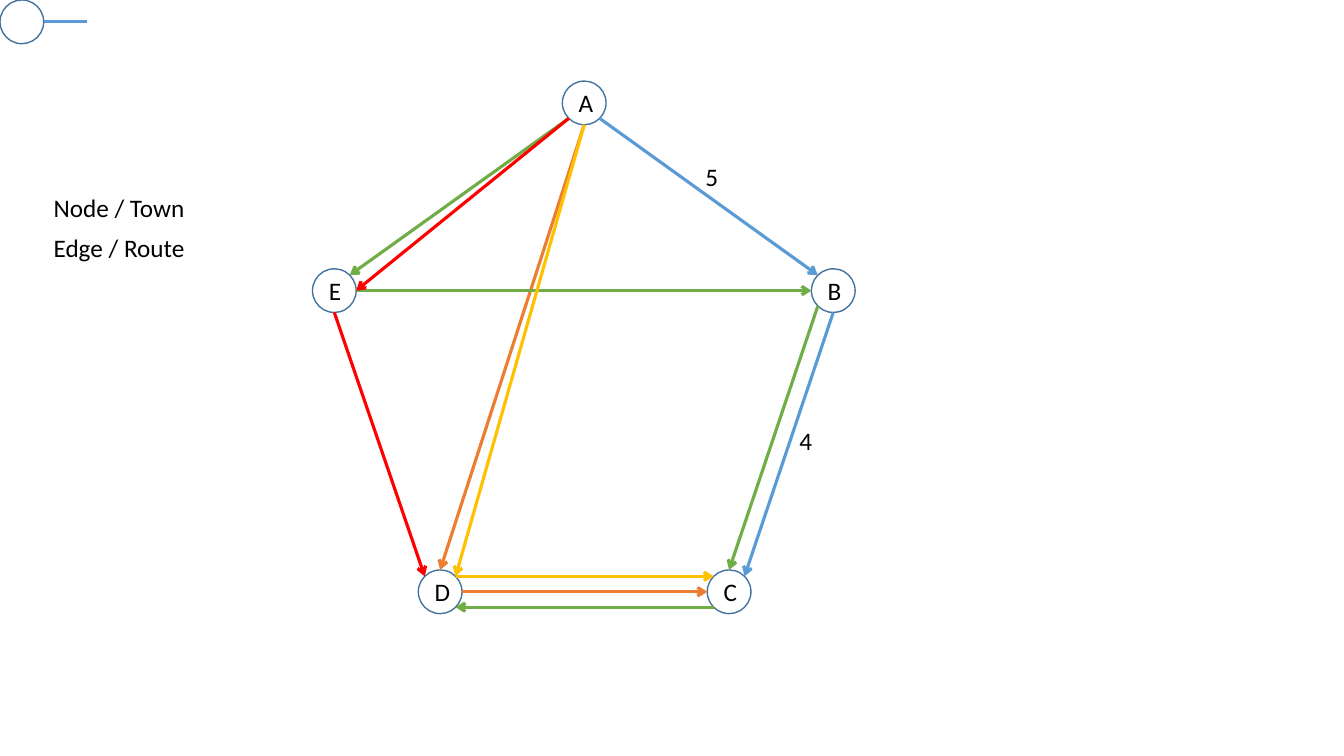
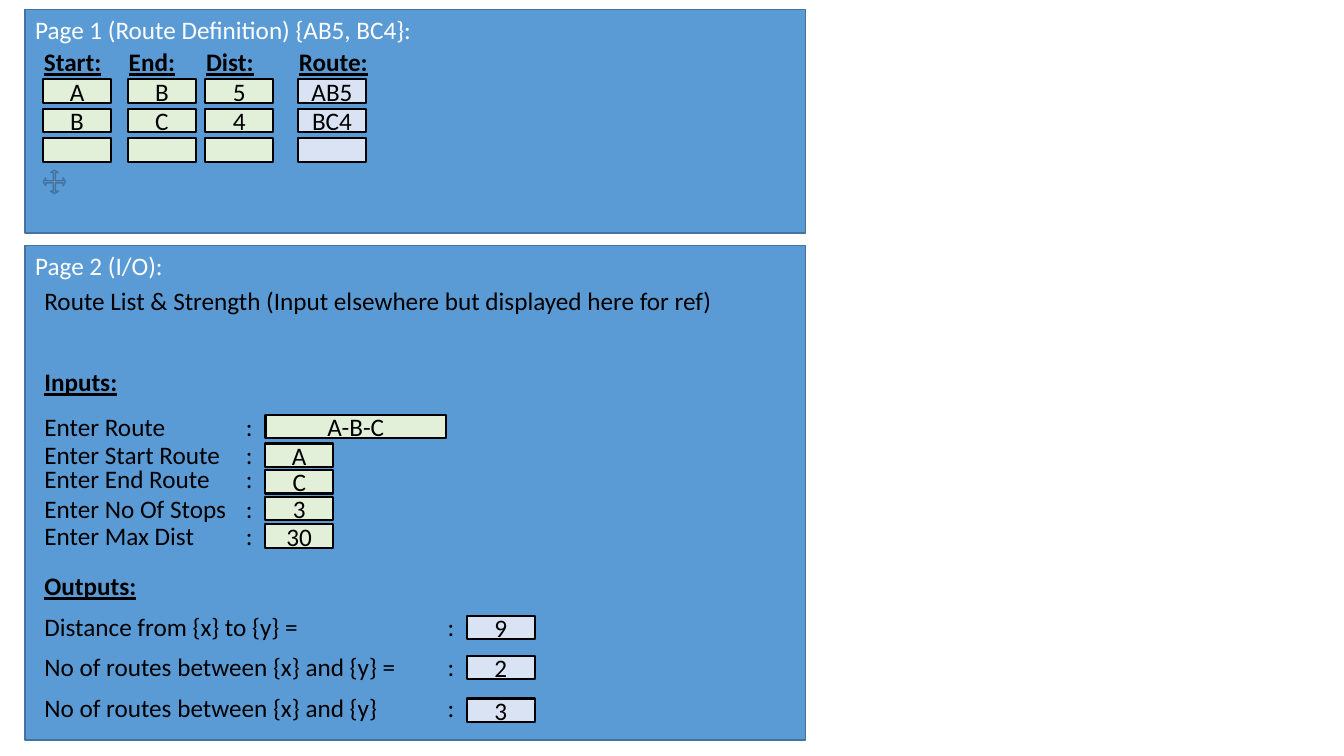
from dataclasses import dataclass
from math import sqrt

from pptx import Presentation
from pptx.dml.color import RGBColor as RGB
from pptx.enum.shapes import MSO_CONNECTOR as Link, MSO_SHAPE as Form
from pptx.enum.text import MSO_ANCHOR as Anchor, MSO_AUTO_SIZE as Fit, PP_ALIGN as Align
from pptx.oxml.ns import qn
from pptx.oxml.xmlchemy import OxmlElement as Tag
from pptx.shapes.autoshape import Shape
from pptx.slide import Slide
from pptx.text.text import TextFrame as Frame
from pptx.util import Emu, Inches, Pt

COLS, ROWS = 160, 90
WIDE, HIGH = Inches(13.33333), Inches(7.5)
CELL = HIGH / ROWS

BLACK = RGB(0x00, 0x00, 0x00)
WHITE = RGB(0xFF, 0xFF, 0xFF)
BLUE = RGB(0x5B, 0x9B, 0xD5)
NAVY = RGB(0x43, 0x73, 0x9E)
GREEN = RGB(0x70, 0xAD, 0x47)
ORANGE = RGB(0xED, 0x7D, 0x31)
GOLD = RGB(0xFF, 0xC0, 0x00)
RED = RGB(0xFF, 0x00, 0x00)
MINT = RGB(0xE2, 0xF0, 0xD9)
LILAC = RGB(0xDA, 0xE3, 0xF3)

FONT, SIZE = "Calibri", Pt(18)
THIN, MID, BOLD = 1, 1.5, 2.25
NODE = 5.2
TEXT_H = 4.8
LEFT = 4.1
BOX_W, BOX_H = 8.05, 2.8
DIAG = sqrt(0.5)
SITES = {
    "N": (0, -1), "NE": (DIAG, -DIAG), "E": (1, 0), "SE": (DIAG, DIAG),
    "S": (0, 1), "SW": (-DIAG, DIAG), "W": (-1, 0), "NW": (-DIAG, -DIAG),
}


@dataclass(frozen=True)
class Rect:
    """An area in grid cells."""
    x: float
    y: float
    w: float
    h: float

    def emu(self) -> tuple[Emu, ...]:
        """Give the area in slide units."""
        return tuple(grid(n) for n in (self.x, self.y, self.w, self.h))


@dataclass(frozen=True)
class Edge:
    """A route from a site of one town to a site of another."""
    start: str
    out: str
    end: str
    into: str
    color: RGB


@dataclass(frozen=True)
class Label:
    """A line of free text."""
    text: str
    x: float
    y: float
    w: float
    head: bool = False
    tab: float = 0


@dataclass(frozen=True)
class Field:
    """A caption with the box that holds its value."""
    text: str
    y: float
    value: str
    box_y: float
    box_w: float = BOX_W


@dataclass(frozen=True)
class Column:
    """A headed column of boxes."""
    head: str
    x: float
    w: float
    fill: RGB
    cells: tuple[str, ...]


TOWNS = {
    "A": (69.55, 12.25), "B": (99.2, 34.6), "C": (86.8, 70.45),
    "D": (52.4, 70.45), "E": (39.8, 34.6),
}
EDGES = [
    Edge("A", "SE", "B", "NW", BLUE),
    Edge("B", "S", "C", "NE", BLUE),
    Edge("A", "S", "D", "N", ORANGE),
    Edge("A", "SW", "E", "NE", GREEN),
    Edge("D", "E", "C", "W", ORANGE),
    Edge("E", "E", "B", "W", GREEN),
    Edge("C", "SW", "D", "SE", GREEN),
    Edge("E", "S", "D", "NW", RED),
    Edge("B", "SW", "C", "N", GREEN),
    Edge("D", "NE", "C", "NW", GOLD),
    Edge("A", "S", "D", "NE", GOLD),
    Edge("A", "SW", "E", "E", RED),
]
MAP_TEXT = [
    Label("5", 82.8, 18.6, 3.95),
    Label("4", 94, 50.05, 3.95),
    Label("Node / Town", 5.2, 22.3, 18.25),
    Label("Edge / Route", 5.2, 27.1, 18.25),
]
TABLE = [
    Column("Start:", 5.15, 9.35, MINT, ("A", "B", "")),
    Column("End:", 15.25, 7.9, MINT, ("B", "C", "")),
    Column("Dist:", 24.45, 8.15, MINT, ("5", "4", "")),
    Column("Route:", 35.5, 10.7, LILAC, ("AB5", "BC4", "")),
]
PAGE_TEXT = [
    Label("Route List & Strength (Input elsewhere but displayed here for ref)",
          LEFT, 33.35, 83.75),
    Label("Inputs:", LEFT, 43.05, 11.15, head=True),
    Label("Outputs:", LEFT, 67.35, 13.45, head=True),
]
INPUTS = [
    Field("Enter Route", 48.4, "A-B-C", 49.4, 21.5),
    Field("Enter Start Route", 51.7, "A", 52.8),
    Field("Enter End Route", 54.6, "C", 55.95),
    Field("Enter No Of Stops", 58.1, "3", 59.15),
    Field("Enter Max Dist", 61.35, "30", 62.4),
]
OUTPUTS = [
    Field("Distance from {x} to {y} =", 72.15, "9", 73.3),
    Field("No of routes between {x} and {y} =", 76.95, "2", 78.05),
    Field("No of routes between {x} and {y}", 81.85, "3", 83.15),
]


def grid(n: float) -> Emu:
    """Turn grid cells into slide units."""
    return Emu(round(n * CELL))


def write(frame: Frame, text: str, color: RGB = BLACK, head: bool = False) -> None:
    """Add one styled run to the first paragraph."""
    run = frame.paragraphs[0].add_run()
    run.text = text
    font = run.font
    font.name, font.size = FONT, SIZE
    font.color.rgb = color
    if head:
        font.bold = font.underline = True


def form(slide: Slide, kind: Form, area: Rect, fill: RGB | None,
         edge: RGB = NAVY, width: float = THIN) -> Shape:
    """Draw a flat preset shape."""
    shape = slide.shapes.add_shape(kind, *area.emu())
    shape.shadow.inherit = False
    if fill is None:
        shape.fill.background()
    else:
        shape.fill.solid()
        shape.fill.fore_color.rgb = fill
    shape.line.color.rgb = edge
    shape.line.width = Pt(width)
    return shape


def center(shape: Shape, text: str) -> None:
    """Put text in the middle of a shape."""
    frame = shape.text_frame
    frame.vertical_anchor = Anchor.MIDDLE
    frame.paragraphs[0].alignment = Align.CENTER
    write(frame, text)


def label(slide: Slide, item: Label) -> None:
    """Draw a line of text, with a tab stop if it has one."""
    area = Rect(item.x, item.y, item.w, TEXT_H)
    frame = slide.shapes.add_textbox(*area.emu()).text_frame
    frame.word_wrap = False
    frame.auto_size = Fit.SHAPE_TO_FIT_TEXT
    if item.tab:
        stops, stop = Tag("a:tabLst"), Tag("a:tab")
        stop.set("pos", str(grid(item.tab)))
        stop.set("algn", "l")
        stops.append(stop)
        frame.paragraphs[0]._p.get_or_add_pPr().append(stops)
    write(frame, item.text, head=item.head)


def node(slide: Slide, spot: tuple[float, float], name: str = "") -> None:
    """Draw a town around its centre."""
    x, y = spot
    area = Rect(x - NODE / 2, y - NODE / 2, NODE, NODE)
    shape = form(slide, Form.OVAL, area, None)
    if name:
        center(shape, name)


def site(spot: tuple[float, float], side: str) -> tuple[float, float]:
    """Find a point on the rim of a town."""
    return tuple(c + NODE / 2 * d for c, d in zip(spot, SITES[side]))


def route(slide: Slide, start: tuple[float, float], end: tuple[float, float],
          color: RGB, arrow: bool = True) -> None:
    """Draw a straight line, with an arrowhead at its end if asked."""
    ends = (grid(n) for n in (*start, *end))
    link = slide.shapes.add_connector(Link.STRAIGHT, *ends)
    link.line.color.rgb = color
    link.line.width = Pt(BOLD)
    props = link.element.spPr
    if arrow:
        tip = Tag("a:tailEnd")
        tip.set("type", "arrow")
        props.find(qn("a:ln")).append(tip)
    props.append(Tag("a:effectLst"))


def box(slide: Slide, area: Rect, fill: RGB, text: str) -> None:
    """Draw a value box."""
    shape = form(slide, Form.RECTANGLE, area, fill, BLACK, MID)
    if text:
        center(shape, text)


def panel(slide: Slide, y: float, h: float, title: str) -> None:
    """Draw a page panel with its title at the top."""
    shape = form(slide, Form.RECTANGLE, Rect(3, y, 92.9, h), BLUE)
    frame = shape.text_frame
    frame.vertical_anchor = Anchor.TOP
    frame.paragraphs[0].alignment = Align.LEFT
    write(frame, title, WHITE)


def fields(slide: Slide, items: list[Field], w: float, tab: float,
           box_x: float, fill: RGB) -> None:
    """Draw captions with their value boxes."""
    for item in items:
        label(slide, Label(f"{item.text}\t:", LEFT, item.y, w, tab=tab))
        box(slide, Rect(box_x, item.box_y, item.box_w, BOX_H), fill, item.value)


def draw_map(slide: Slide) -> None:
    """Draw the towns, the routes and the key."""
    key = (NODE / 2, NODE / 2)
    node(slide, key)
    x, y = site(key, "E")
    route(slide, (x, y), (x + NODE, y), BLUE, arrow=False)
    for name, spot in TOWNS.items():
        node(slide, spot, name)
    for edge in EDGES:
        route(slide, site(TOWNS[edge.start], edge.out),
              site(TOWNS[edge.end], edge.into), edge.color)
    for item in MAP_TEXT:
        label(slide, item)


def draw_pages(slide: Slide) -> None:
    """Draw the two page panels and their forms."""
    panel(slide, 29.2, 58.9, "Page 2 (I/O):")
    panel(slide, 1.1, 26.65, "Page 1 (Route Definition) {AB5, BC4}:")
    for col in TABLE:
        label(slide, Label(col.head, col.x - 1.1, 4.95, col.w, head=True))
        for row, text in enumerate(col.cells):
            box(slide, Rect(col.x, 9.45 + 3.5 * row, BOX_W, BOX_H), col.fill, text)
    move = form(slide, Form.QUAD_ARROW, Rect(5.15, 20.25, 2.65, 2.8), BLUE)
    for i, share in enumerate((0.095, 0.176, 0.111)):
        move.adjustments[i] = share
    for item in PAGE_TEXT:
        label(slide, item)
    fields(slide, INPUTS, 27.5, 24, 31.6, MINT)
    fields(slide, OUTPUTS, 51.7, 48, 55.6, LILAC)


deck = Presentation()
deck.slide_width, deck.slide_height = grid(COLS), HIGH
for draw in (draw_map, draw_pages):
    draw(deck.slides.add_slide(deck.slide_layouts[6]))
deck.save("out.pptx")
